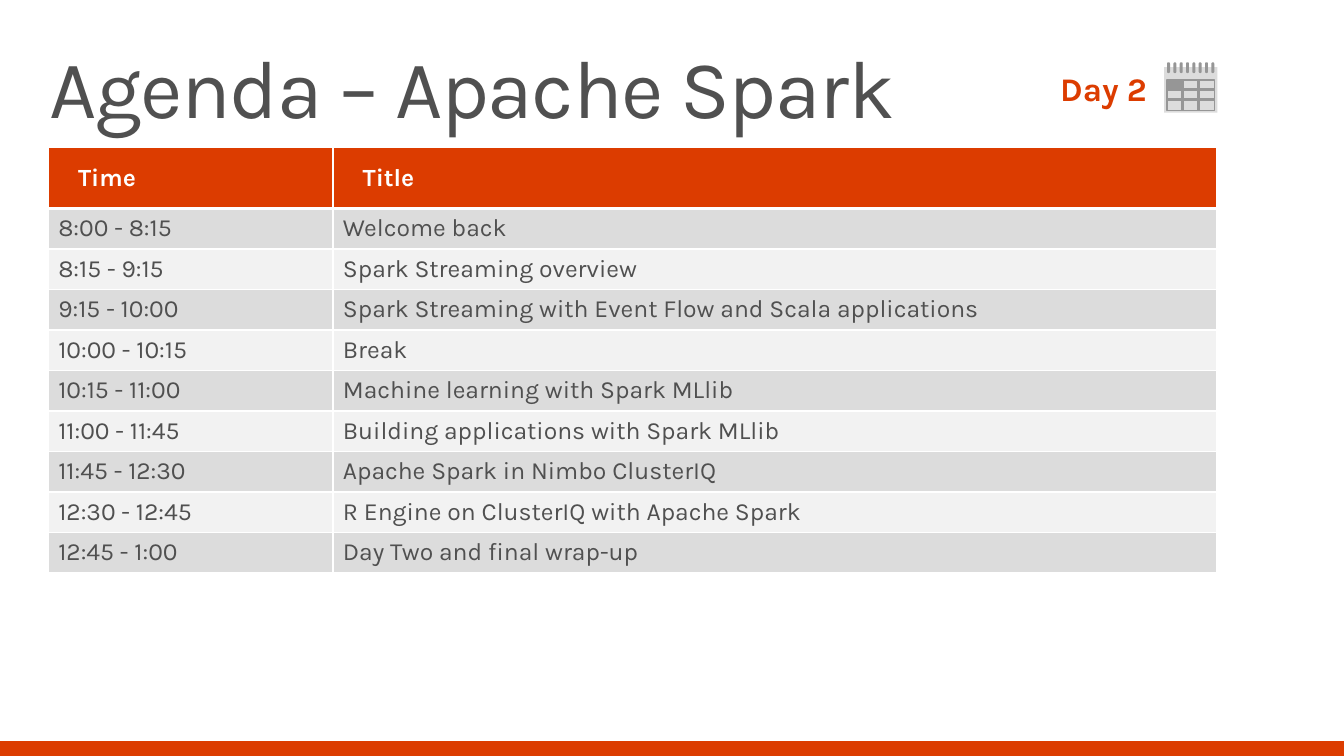
from dataclasses import dataclass

from lxml import etree
from pptx import Presentation
from pptx.dml.color import RGBColor
from pptx.enum.shapes import MSO_CONNECTOR, MSO_SHAPE
from pptx.enum.text import MSO_ANCHOR, PP_ALIGN
from pptx.oxml.ns import qn
from pptx.util import Inches, Pt

RECT = MSO_SHAPE.RECTANGLE
ROUNDED = MSO_SHAPE.ROUNDED_RECTANGLE
STRAIGHT = MSO_CONNECTOR.STRAIGHT
MIDDLE = MSO_ANCHOR.MIDDLE
LEFT = PP_ALIGN.LEFT

ORANGE = RGBColor(0xDC, 0x3C, 0x00)
TEXT_GRAY = RGBColor(0x50, 0x50, 0x50)
ICON_GRAY = RGBColor(0x96, 0x96, 0x96)
LIGHT_GRAY = RGBColor(0xDC, 0xDC, 0xDC)
PALE_GRAY = RGBColor(0xF2, 0xF2, 0xF2)
WHITE = RGBColor(0xFF, 0xFF, 0xFF)
FONT = "Karla"


@dataclass
class Session:
    time: str
    title: str


HEADER = Session("Time", "Title")
SESSIONS = [
    Session("8:00 - 8:15", "Welcome back"),
    Session("8:15 - 9:15", "Spark Streaming overview"),
    Session("9:15 - 10:00", "Spark Streaming with Event Flow and Scala applications"),
    Session("10:00 - 10:15", "Break"),
    Session("10:15 - 11:00", "Machine learning with Spark MLlib"),
    Session("11:00 - 11:45", "Building applications with Spark MLlib"),
    Session("11:45 - 12:30", "Apache Spark in Nimbo ClusterIQ"),
    Session("12:30 - 12:45", "R Engine on ClusterIQ with Apache Spark"),
    Session("12:45 - 1:00", "Day Two and final wrap-up"),
]


def write(tf, text: str, size: float, color: RGBColor, bold: bool = False):
    tf.text = text
    p = tf.paragraphs[0]
    r = p.runs[0]
    r.font.name = FONT
    r.font.size = Pt(size)
    r.font.bold = bold
    r.font.color.rgb = color
    return p


def add_block(shapes, kind, left: float, top: float, width: float, height: float,
              color: RGBColor):
    sp = shapes.add_shape(kind, Inches(left), Inches(top), Inches(width), Inches(height))
    sp.shadow.inherit = False
    sp.fill.solid()
    sp.fill.fore_color.rgb = color
    sp.line.fill.background()
    return sp


def add_rule(shapes, x1: float, y1: float, x2: float, y2: float) -> None:
    line = shapes.add_connector(STRAIGHT, Inches(x1), Inches(y1), Inches(x2), Inches(y2))
    line.line.color.rgb = ICON_GRAY
    line.line.width = Pt(2.13)
    etree.SubElement(line._element.spPr, qn("a:effectLst"))


def set_borders(cell, top: float, bottom: float) -> None:
    tcPr = cell._tc.get_or_add_tcPr()
    for side, width in (("L", 1), ("R", 1), ("T", top), ("B", bottom)):
        ln = etree.SubElement(tcPr, qn(f"a:ln{side}"), w=str(Pt(width)))
        fill = etree.SubElement(ln, qn("a:solidFill"))
        etree.SubElement(fill, qn("a:srgbClr"), val=str(WHITE))


def add_agenda(s) -> None:
    rows = [HEADER] + SESSIONS
    table = s.shapes.add_table(len(rows), 2, Inches(0.49), Inches(1.49),
                               Inches(11.82), Inches(4.32)).table
    for column, width in zip(table.columns, (2.88, 8.94)):
        column.width = Inches(width)
    for i, session in enumerate(rows):
        is_header = i == 0
        table.rows[i].height = Inches(0.62 if is_header else 0.41)
        for j, text in enumerate((session.time, session.title)):
            cell = table.cell(i, j)
            cell.vertical_anchor = MIDDLE
            p = write(cell.text_frame, text, 18, WHITE if is_header else TEXT_GRAY, is_header)
            if is_header:
                p._p.get_or_add_pPr().set("marL", str(Inches(0.2)))
            set_borders(cell, 3 if i == 1 else 1, 3 if is_header else 1)
            cell.fill.solid()
            cell.fill.fore_color.rgb = (
                ORANGE if is_header else LIGHT_GRAY if i % 2 else PALE_GRAY)


def add_calendar(s) -> None:
    shapes = s.shapes.add_group_shape().shapes
    left, top, right, bottom = 11.81, 0.81, 12.29, 1.12
    add_block(shapes, RECT, 11.78, 0.68, 0.54, 0.46, LIGHT_GRAY)
    for i in range(8):
        ring = add_block(shapes, ROUNDED, left + i * 0.064, 0.63, 0.03, 0.11, ICON_GRAY)
        ring.adjustments[0] = 0.5
    frame = add_block(shapes, RECT, left, top, right - left, bottom - top, LIGHT_GRAY)
    frame.line.color.rgb = ICON_GRAY
    frame.line.width = Pt(1)
    for y in (0.91, 1.01):
        add_rule(shapes, left, y, right, y)
    for x in (11.97, 12.13):
        add_rule(shapes, x, top, x, bottom)
    add_block(shapes, RECT, left, top, 0.16, 0.11, ICON_GRAY)


def add_title(s) -> None:
    title = s.shapes.title
    title.left, title.top = Inches(0), Inches(0.33)
    title.width, title.height = Inches(9.81), Inches(1.2)
    tf = title.text_frame
    tf.margin_left, tf.margin_right = Inches(0.5), Inches(0.16)
    tf.margin_top = tf.margin_bottom = Inches(0.1)
    tf.vertical_anchor = MIDDLE
    tf.word_wrap = True
    p = write(tf, "Agenda – Apache Spark", 60, TEXT_GRAY)
    p.alignment = LEFT
    p.line_spacing = 0.9
    p.runs[0]._r.get_or_add_rPr().set("spc", "-100")


def main() -> None:
    prs = Presentation()
    prs.slide_width, prs.slide_height = Inches(13.6), Inches(7.65)
    s = prs.slides.add_slide(prs.slide_layouts[5])
    add_block(s.shapes, RECT, 0, 7.5, 13.6, 0.15, ORANGE)
    add_title(s)
    add_agenda(s)
    add_calendar(s)
    day = s.shapes.add_textbox(Inches(10.63), Inches(0.64), Inches(1.1), Inches(0.5))
    day.text_frame.word_wrap = False
    write(day.text_frame, "Day 2", 24, ORANGE, True)
    prs.save("out.pptx")


if __name__ == "__main__":
    main()
